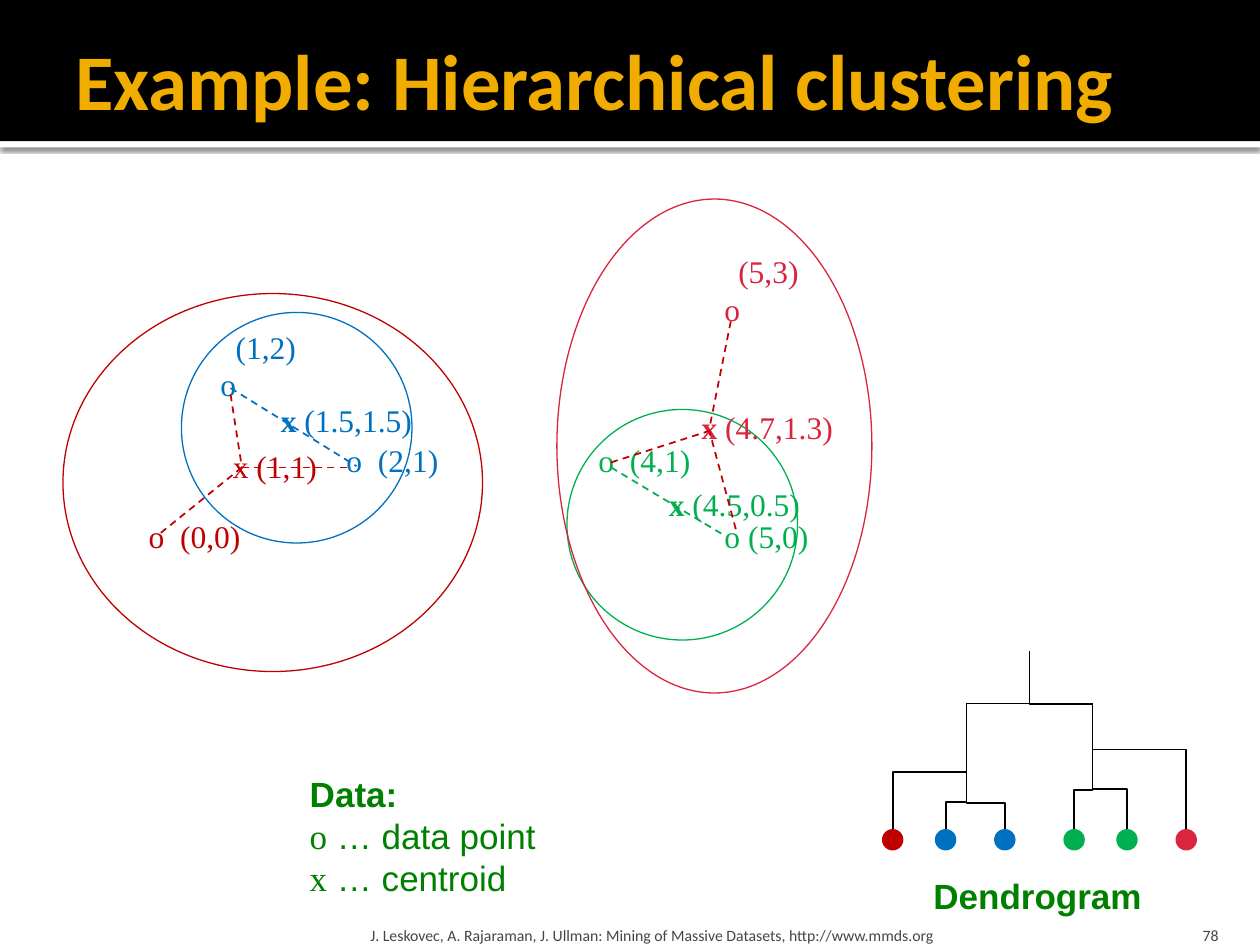
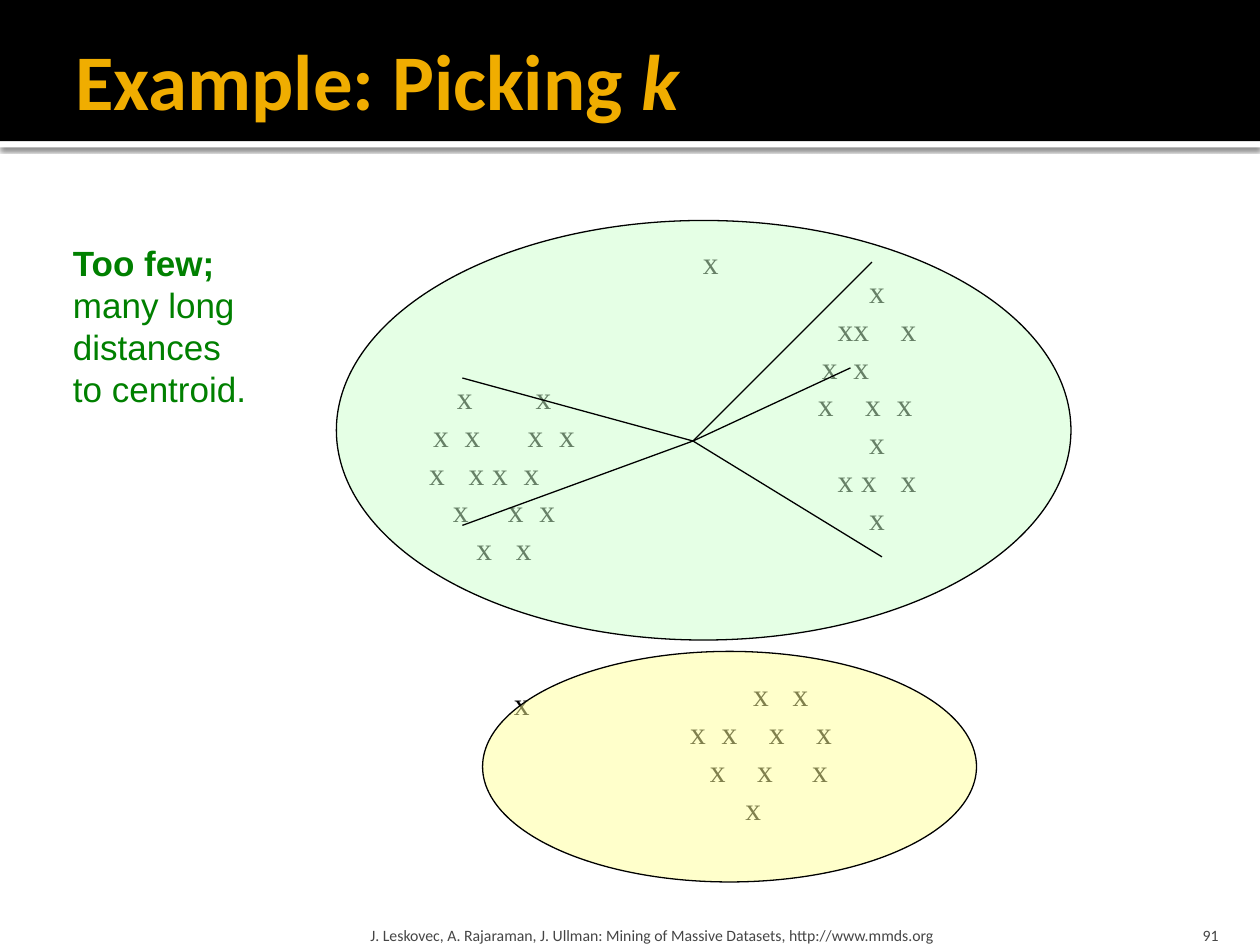
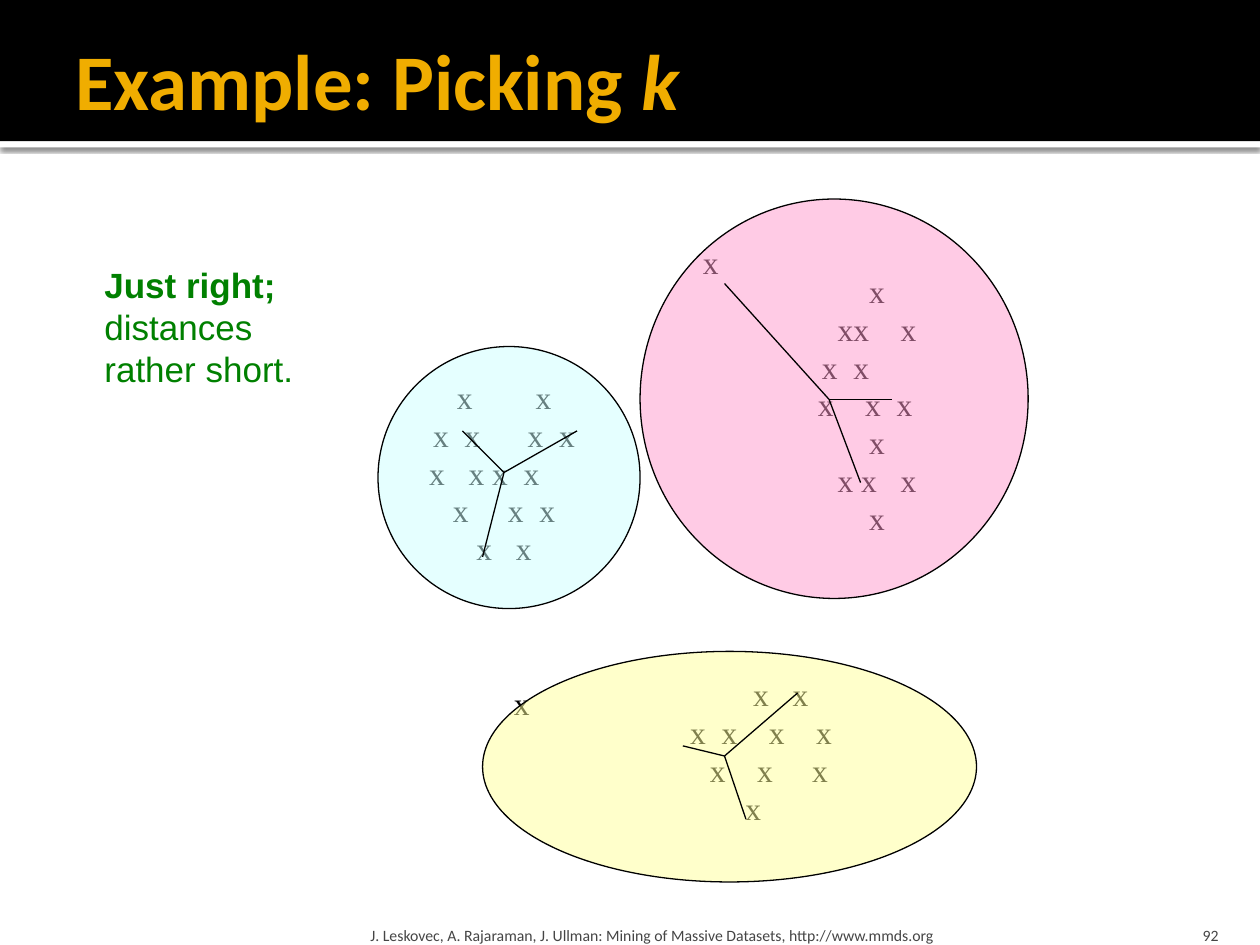
from dataclasses import dataclass, replace
from lxml.etree import SubElement as Sub
from pptx import Presentation
from pptx.dml.color import RGBColor as Rgb
from pptx.enum.dml import MSO_LINE as Dash
from pptx.enum.shapes import MSO_CONNECTOR as Conn, MSO_SHAPE as Form
from pptx.enum.text import MSO_ANCHOR as Anchor, PP_ALIGN as Align
from pptx.oxml.ns import qn
from pptx.util import Inches, Pt


@dataclass(frozen=True)
class Style:
    font: str
    size: int
    color: str
    bold: bool = False
    italic: bool = False


@dataclass(frozen=True)
class Theme:
    black: str = "000000"
    white: str = "FFFFFF"
    blue: str = "0070C0"
    green: str = "00B050"
    dark: str = "C00000"
    rose: str = "D9253E"
    mint: str = "CCFFCC"
    lemon: str = "FFFF99"
    aqua: str = "CCFFFF"
    pink: str = "FF99CC"
    thin: float = 0.75
    line: float = 1
    pitch: float = 1.2
    title: Style = Style("Calibri", 45, "F0AD00", True)
    foot: Style = Style("Calibri", 9, "454545")
    note: Style = Style("Arial", 20, "008000")
    head: Style = Style("Arial", 20, "008000", True)
    sign: Style = Style("Times New Roman", 20, "008000")
    mark: Style = Style("Times New Roman", 18, "000000")


T = Theme()
PAD = (0.1, 0.05, 0.1, 0.05)
FOOT = "J. Leskovec, A. Rajaraman, J. Ullman: Mining of Massive Datasets, http://www.mmds.org"
UNIT = 0.0625 # width of a space in the mark style
HALF = 10 # half the width of a group of marks, in units

# Columns of the marks in each row, in units from the middle of the group
WEST = [(-6, 4), (-9, -5, 3, 7), (-9.5, -4.5, -1.5, 2.5), (-6.5, 0.5, 4.5), (-3.5, 1.5)]
EAST = [(-1,), (-5, -3, 3), (-7, -3), (-7.5, -1.5, 2.5), (-1,), (-5, -2, 3), (-1,)]
SOUTH = [(-1, 4), (-9, -5, 1, 7), (-6.5, -0.5, 6.5), (-2,)]


def shift(base, *spot):
    """Move a point or box given relative to the corner of base."""
    return (base[0] + spot[0], base[1] + spot[1], *spot[2:])


def write(par, parts):
    for words, style in parts:
        run = par.add_run()
        run.text = words
        font = run.font
        font.name, font.size = style.font, Pt(style.size)
        font.bold, font.italic = style.bold, style.italic
        font.color.rgb = Rgb.from_string(style.color)


def text(slide, box, lines, pads=PAD, anchor=Anchor.TOP, align=Align.LEFT, wrap=False):
    """Add a text box; each line is a list of (words, style)."""
    frame = slide.shapes.add_textbox(*map(Inches, box)).text_frame
    frame.word_wrap, frame.vertical_anchor = wrap, anchor
    (frame.margin_left, frame.margin_top,
     frame.margin_right, frame.margin_bottom) = map(Inches, pads)
    for i, parts in enumerate(lines):
        par = frame.add_paragraph() if i else frame.paragraphs[0]
        par.alignment = align
        if len(lines) > 1:
            par.line_spacing = Pt(T.pitch * parts[0][1].size)
        write(par, parts)
    return frame


def table(slide, box, rows, anchor=Anchor.TOP):
    """Set rows of (tab stop, words, style) in one text box."""
    lines = [[("\t" + words, style) for _, words, style in row] for row in rows]
    frame = text(slide, box, lines, (0, 0, 0, 0), anchor, wrap=True)
    for par, row in zip(frame.paragraphs, rows):
        tabs = Sub(par._p.get_or_add_pPr(), qn("a:tabLst"))
        for stop, _, _ in row:
            Sub(tabs, qn("a:tab"), pos=str(int(Inches(stop))), algn="l")
    return frame


def shape(slide, form, box, fill=None, line=None, alpha=None):
    item = slide.shapes.add_shape(form, *map(Inches, box))
    item.shadow.inherit = False
    if fill:
        item.fill.solid()
        item.fill.fore_color.rgb = Rgb.from_string(fill)
    else:
        item.fill.background()
    if alpha:
        tone = item._element.spPr.find(".//" + qn("a:srgbClr"))
        Sub(tone, qn("a:alpha"), val=str(alpha * 1000))
    if line:
        item.line.color.rgb = Rgb.from_string(line)
        item.line.width = Pt(T.thin)
    else:
        item.line.fill.background()
    return item


def link(slide, start, end, color=T.black, width=T.thin, dash=None, kind=Conn.STRAIGHT):
    item = slide.shapes.add_connector(kind, *map(Inches, (*start, *end)))
    item.line.color.rgb = Rgb.from_string(color)
    item.line.width = Pt(width)
    if dash:
        item.line.dash_style = dash
    Sub(item._element.spPr, qn("a:effectLst"))
    return item


def elbow(slide, start, end, bend):
    """Go up from start, across at the share bend of the height, and up to end."""
    (x1, y1), (x2, y2) = start, end
    high, wide = y1 - y2, abs(x2 - x1)
    left, top = (x1 + x2 - high) / 2, (y1 + y2 - wide) / 2
    item = link(slide, (left, top), (left + high, top + wide), width=T.line, kind=Conn.ELBOW)
    props = item._element.spPr
    frame = props.find(qn("a:xfrm"))
    right = x2 > x1
    frame.set("rot", str((90 if right else 270) * 60000))
    frame.set("flipH", str(int(right)))
    frame.set("flipV", "1")
    geom = props.find(qn("a:prstGeom"))
    guide = geom.find(qn("a:avLst"))
    if guide is None:
        guide = Sub(geom, qn("a:avLst"))
    Sub(guide, qn("a:gd"), name="adj1", fmla=f"val {round(bend * 100000)}")


def base(deck, title, page):
    """Start a slide with the band, title and footer that all share."""
    slide = deck.slides.add_slide(deck.slide_layouts[6])
    strip = shape(slide, Form.RECTANGLE, (0, 1.12, 10, 0.05), T.white)
    glow = Sub(strip._element.spPr.find(qn("a:effectLst")), qn("a:outerShdw"),
               blurRad=str(Pt(2.5)), dist=str(Pt(0.8)), dir="5400000",
               algn="t", rotWithShape="0")
    Sub(Sub(glow, qn("a:srgbClr"), val=T.black), qn("a:alpha"), val="60000")
    shape(slide, Form.RECTANGLE, (0, 0, 10, 1.12), T.black)
    text(slide, (0.5, 0.17, 9, 0.92), [title], (0.1, 0.05, 0.05, 0.05), Anchor.MIDDLE, wrap=True)
    text(slide, (2.89, 7.2, 6.02, 0.3), [[(FOOT, T.foot)]],
         (0.05, 0.05, 0.05, 0), Anchor.BOTTOM, wrap=True)
    text(slide, (8.97, 7.2, 0.8, 0.3), [[(page, T.foot)]],
         (0.1, 0.05, 0.1, 0), Anchor.BOTTOM, Align.RIGHT, True)
    return slide


def points(slide, box):
    """Draw the data points, rings, centroids and merge lines."""
    dark, blue, green, rose = (replace(T.mark, color=c) for c in (T.dark, T.blue, T.green, T.rose))
    rows = [
        [(5.11, "(5,3)", rose)],
        [(5, "o", rose)],
        [(1.12, "(1,2)", blue)],
        [(1, "o", blue)],
        [(2, "o", blue), (2.25, "(2,1)", blue), (4, "o", green), (4.25, "(4,1)", green)],
        [(0.43, "o", dark), (0.68, "(0,0)", dark), (5, "o (5,0)", green)],
    ]
    frame = table(slide, shift(box, 0.25, 0.5, 6, 2.6), rows)
    for par in frame.paragraphs[4:]:
        par.space_before = Pt(T.pitch * T.mark.size)

    groups = [
        (blue, (0.94, 0.98, 1.83, 1.83), (1.63, 1.63, 1.25, 0.4), " (1.5,1.5)"),
        (green, (4, 1.75, 1.83, 1.83), (4.71, 2.3, 1.25, 0.4), " (4.5,0.5)"),
        (dark, (0, 0.83, 3.33, 3), (1.25, 2, 0.88, 0.4), " (1,1)"),
        (rose, (3.92, 0.08, 2.5, 3.92), (4.97, 1.69, 1.25, 0.4), " (4.7,1.3)"),
    ]
    for style, ring, spot, words in groups:
        shape(slide, Form.OVAL, shift(box, *ring), line=style.color)
        cross = replace(style, bold=style is not dark)
        text(slide, shift(box, *spot), [[("x", cross), (words, style)]])

    merges = [
        (T.blue, (1.33, 1.58), (2.33, 2.2)),
        (T.green, (4.35, 2.21), (5.25, 2.75)),
        (T.dark, (1.33, 1.63), (1.42, 2.21)),
        (T.dark, (2.25, 2.21), (1.42, 2.21)),
        (T.dark, (1.42, 2.21), (0.75, 2.75)),
        (T.dark, (5.3, 1.05), (5.13, 1.9)),
        (T.dark, (4.35, 2.17), (5.13, 1.92)),
        (T.dark, (5.34, 2.7), (5.13, 1.92)),
    ]
    for color, start, end in merges:
        link(slide, shift(box, *start), shift(box, *end), color, T.line, Dash.DASH)


def tree(slide, box):
    """Draw the dendrogram with its caption."""
    size, foot = 0.17, 1.41
    leaves = [
        (0, T.dark, (0.67, 0.5), 0.5),
        (0.42, T.blue, (0.67, 0.91), 0.43),
        (0.89, T.blue, (0.67, 1), 0.5),
        (1.44, T.green, (1.67, 1), 0.76),
        (1.86, T.green, (1.67, 0.75), 0.48),
        (2.33, T.rose, (1.67, 0.41), 0.63),
    ]
    for left, color, joint, bend in leaves:
        shape(slide, Form.OVAL, shift(box, left, foot, size, size), color)
        elbow(slide, shift(box, left + size / 2, foot), shift(box, *joint), bend)
    for stem, bend in (((0.67, 0.83), 0.5), ((1.67, 0.66), 0.37)):
        elbow(slide, shift(box, *stem), shift(box, 1.17, 0), bend)
    text(slide, shift(box, 0.31, 1.72, 1.87, 0.44), [[("Dendrogram", T.head)]])


def cloud(slide, mid, rows):
    """Set one group of marks around the point mid."""
    lines = [[((HALF + col) * UNIT, "xx" if col + 2 in row else "x", T.mark)
              for col in row if col - 2 not in row] for row in rows]
    wide, high = 2 * HALF * UNIT, len(rows) * 0.3
    table(slide, shift(mid, -wide / 2, -high / 2, wide, high), lines, Anchor.MIDDLE)


def field(slide, box, rings, hubs):
    """Draw all marks, then the rings over them and the rays from each hub."""
    for mid, rows in (((1, 2.25), WEST), ((3.96, 1.71), EAST), ((3.04, 4.46), SOUTH)):
        cloud(slide, shift(box, *mid), rows)
    for stray in ((2.48, 0.38), (0.98, 3.88)):
        text(slide, shift(box, *stray, 0.37, 0.5), [[("x", T.mark)]])
    for ring, fill in rings:
        shape(slide, Form.OVAL, shift(box, *ring), fill, T.black, 50)
    for hub, ends in hubs:
        for end in ends:
            link(slide, shift(box, *hub), shift(box, *end))


def remark(slide, box, head, *rest):
    text(slide, box, [[(head, T.head)]] + [[(words, T.note)] for words in rest])


def main():
    deck = Presentation()
    deck.slide_width, deck.slide_height = Inches(10), Inches(7.5)

    slide = base(deck, [("Example: Hierarchical clustering", T.title)], "78")
    points(slide, (0.5, 1.5))
    tree(slide, (7, 5.17))
    text(slide, (2.36, 6.08, 2.01, 1.11), [
        [("Data:", T.head)],
        [("o", T.sign), (" … data point", T.note)],
        [("x", T.sign), (" … centroid", T.note)],
    ])

    title = [("Example: Picking ", T.title), ("k", replace(T.title, italic=True))]
    area = (3, 1.5)
    lemon = ((0.83, 3.67, 3.92, 1.83), T.lemon)

    slide = base(deck, title, "91")
    field(slide, area, [((-0.33, 0.25, 5.83, 3.33), T.mint), lemon], [
        ((2.5, 2), [(0.67, 1.5), (0.67, 2.67), (4, 2.92), (3.75, 1.42), (3.92, 0.58)]),
    ])
    remark(slide, (0.48, 1.87, 1.59, 1.45), "Too few;", "many long", "distances", "to centroid.")

    slide = base(deck, title, "92")
    rings = [lemon, ((0, 1.25, 2.08, 2.08), T.aqua), ((2.08, 0.08, 3.08, 3.17), T.pink)]
    field(slide, area, rings, [
        ((1, 2.25), [(0.67, 1.92), (1.58, 1.92), (0.83, 2.92)]),
        ((2.75, 4.5), [(2.42, 4.42), (3.33, 4), (2.92, 5)]),
        ((3.58, 1.67), [(2.75, 0.75), (4.08, 1.67), (3.83, 2.33)]),
    ])
    remark(slide, (0.73, 2.04, 1.71, 1.11), "Just right;", "distances", "rather short.")
    deck.save("out.pptx")


if __name__ == "__main__":
    main()
